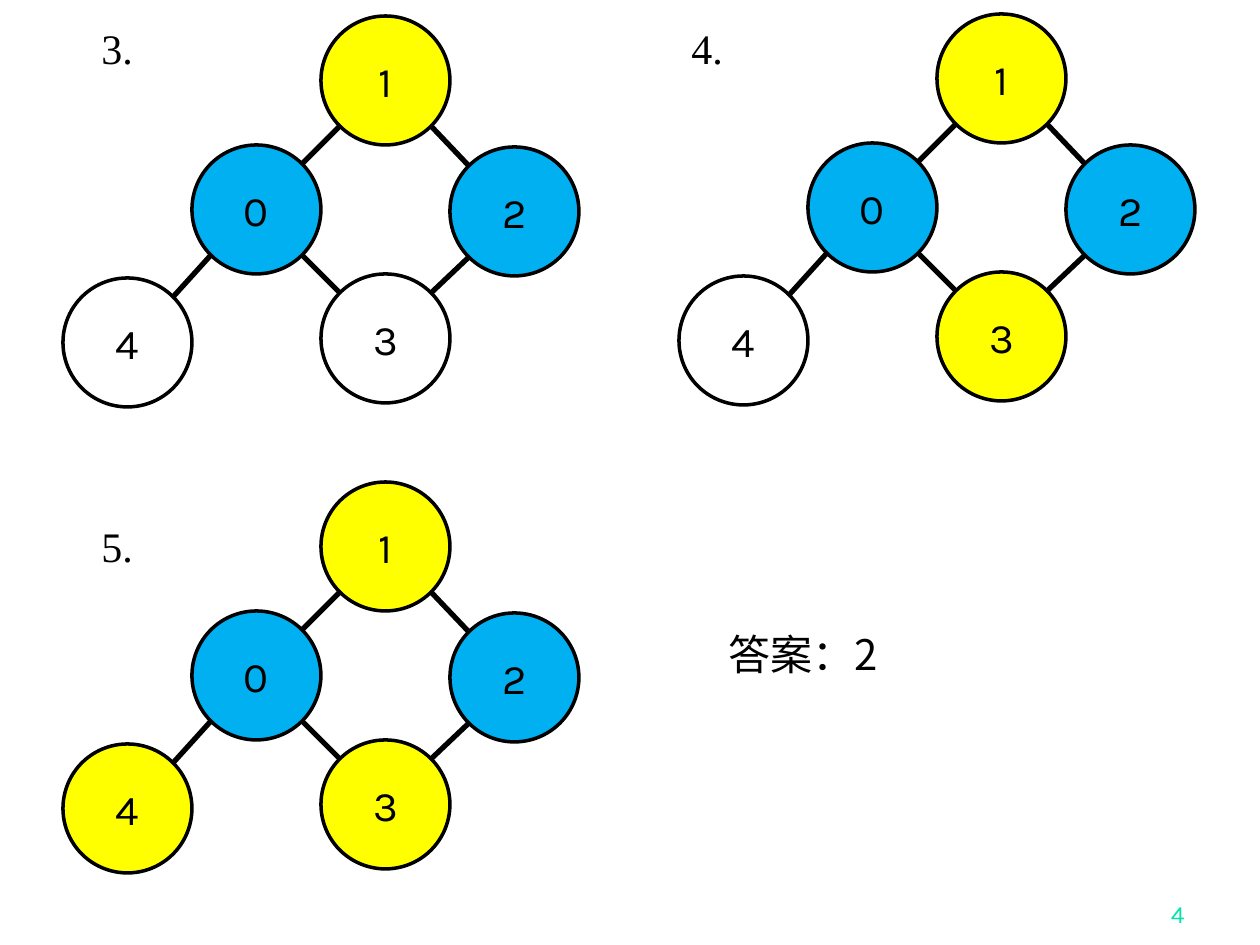
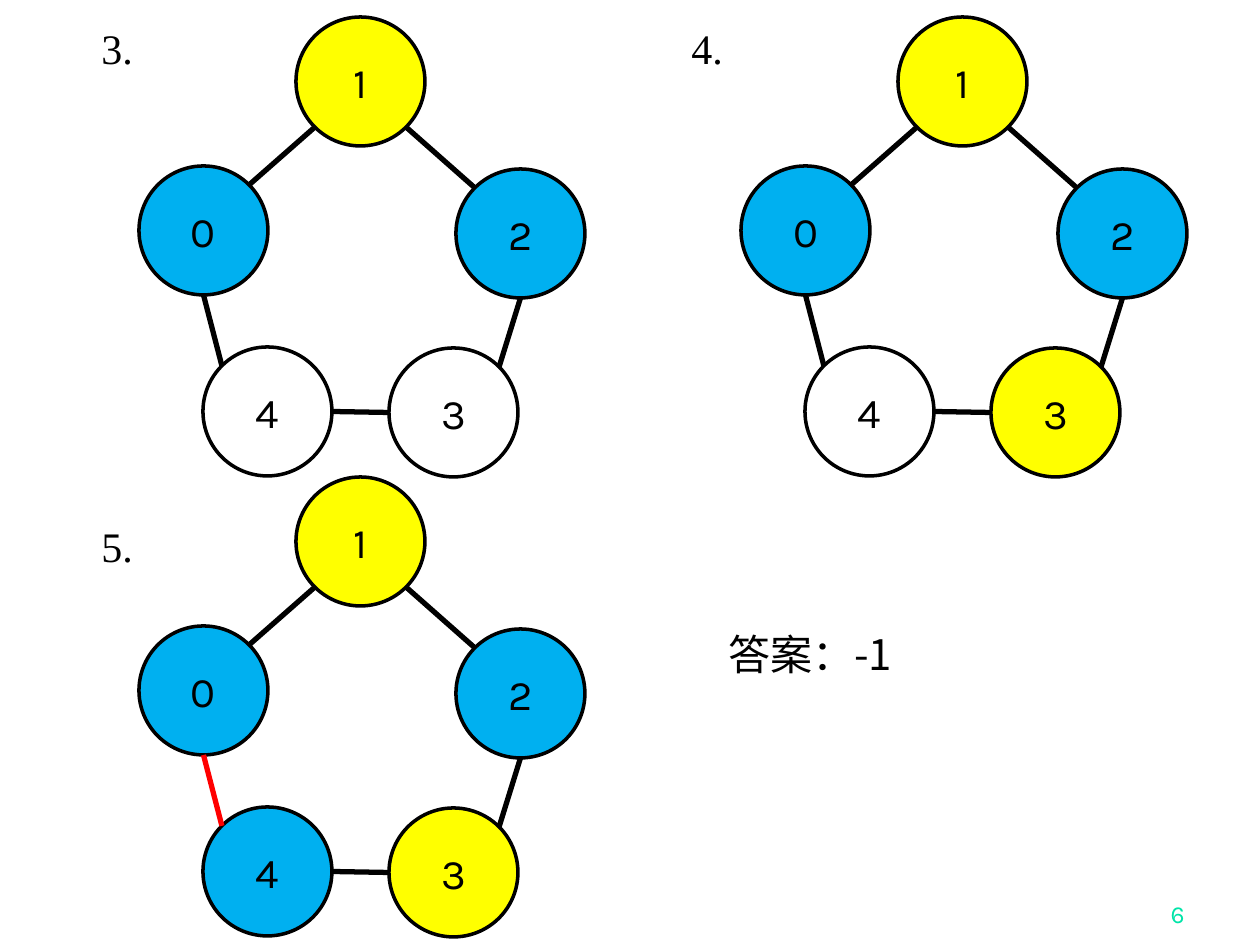
import math
from dataclasses import dataclass

from lxml import etree
from pptx import Presentation
from pptx import util as u
from pptx.dml.color import RGBColor
from pptx.enum import shapes, text
from pptx.oxml.ns import qn

SCALE = 914400 / 126  # EMU in one px


@dataclass(frozen=True)
class Theme:
    ink: str = "000000"
    clash: str = "FF0000"
    page: str = "00E4A8"
    node_font: str = "Karla"
    step_font: str = "Times New Roman"
    answer_font: str = "Noto Sans CJK SC"
    body_size: int = 24
    page_size: int = 14
    outline: int = 2
    edge: int = 3


theme = Theme()
fills = {"Y": "FFFF00", "B": "00B0F0", "W": "FFFFFF"}
NODE = 129  # node diameter


def px(*lengths):
    return [u.Emu(round(length * SCALE)) for length in lengths]


def write(shape, wording, font=theme.node_font, size=theme.body_size, color=theme.ink,
          align=text.PP_ALIGN.LEFT, anchor=text.MSO_ANCHOR.TOP, wrap=True):
    frame = shape.text_frame
    frame.word_wrap = wrap
    frame.vertical_anchor = anchor
    paragraph = frame.paragraphs[0]
    paragraph.alignment = align
    run = paragraph.add_run()
    run.text = wording
    run.font.name = font
    run.font.size = u.Pt(size)
    run.font.color.rgb = RGBColor.from_string(color)
    east_asian = etree.SubElement(run.font._element, qn("a:ea"))
    east_asian.set("typeface", font)


# Node offsets are measured from node 1. An edge is (from node, site, to node, site);
# the eight sites of an ellipse run counter-clockwise from the top.
# A step is its number, the place of node 1 and the colours of nodes 0 to 4.
graphs = [
    {
        "page": "4",
        "answer": "答案：2",
        "offsets": [(-129, 129), (0, 0), (129, 131), (0, 258), (-258, 262)],
        "edges": [(1, 5, 2, 1), (2, 3, 3, 7), (0, 5, 3, 1), (1, 3, 0, 7), (4, 7, 0, 3)],
        "steps": [("3.", 321, 16, "BYBWW"), ("4.", 937, 14, "BYBYW"),
                  ("5.", 321, 482, "BYBYY")],
    },
    {
        "page": "6",
        "answer": "答案：-1",
        "offsets": [(-157, 149), (0, 0), (160, 152), (93, 331), (-93, 330)],
        "edges": [(1, 5, 2, 1), (2, 4, 3, 7), (4, 6, 3, 2), (1, 3, 0, 7), (4, 1, 0, 4)],
        "steps": [("3.", 296, 17, "BYBWW"), ("4.", 898, 17, "BYBYW"),
                  ("5.", 296, 477, "BYBYB")],
    },
]
step_places = {"3.": (89, 16), "4.": (679, 16), "5.": (89, 514)}

presentation = Presentation()
presentation.slide_width, presentation.slide_height = px(1260, 945)

for graph in graphs:
    slide = presentation.slides.add_slide(presentation.slide_layouts[6])

    # Page number
    page_box = slide.shapes.add_textbox(*px(935, 872, 262, 63))
    write(page_box, graph["page"], size=theme.page_size, color=theme.page,
          align=text.PP_ALIGN.RIGHT, anchor=text.MSO_ANCHOR.BOTTOM)

    for step, left, top, colors in graph["steps"]:
        # Coloured nodes
        corners = [(left + dx, top + dy) for dx, dy in graph["offsets"]]
        nodes = []
        for number, (x, y) in enumerate(corners):
            node = slide.shapes.add_shape(shapes.MSO_SHAPE.OVAL, *px(x, y, NODE, NODE))
            node.shadow.inherit = False
            node.fill.solid()
            node.fill.fore_color.rgb = RGBColor.from_string(fills[colors[number]])
            node.line.color.rgb = RGBColor.from_string(theme.ink)
            node.line.width = u.Pt(theme.outline)
            write(node, str(number), align=text.PP_ALIGN.CENTER,
                  anchor=text.MSO_ANCHOR.MIDDLE, wrap=False)
            nodes.append(node)

        # Edges, red where both ends have the same colour
        for start, start_site, end, end_site in graph["edges"]:
            ends = []
            for number, site in ((start, start_site), (end, end_site)):
                x, y = corners[number]
                angle = math.radians(45 * site)
                ends += [x + NODE / 2 * (1 - math.sin(angle)),
                         y + NODE / 2 * (1 - math.cos(angle))]
            edge = slide.shapes.add_connector(shapes.MSO_CONNECTOR.STRAIGHT, *px(*ends))
            same = colors[start] == colors[end] != "W"
            edge.line.color.rgb = RGBColor.from_string(theme.clash if same else theme.ink)
            edge.line.width = u.Pt(theme.edge)
            etree.SubElement(edge._element.spPr, qn("a:effectLst"))
            links = edge._element.find(".//" + qn("p:cNvCxnSpPr"))
            for tag, number, site in (("a:stCxn", start, start_site), ("a:endCxn", end, end_site)):
                link = etree.SubElement(links, qn(tag))
                link.set("id", str(nodes[number].shape_id))
                link.set("idx", str(site))

        # Step number
        step_box = slide.shapes.add_textbox(*px(*step_places[step], 129, 63))
        step_box.text_frame.auto_size = text.MSO_AUTO_SIZE.SHAPE_TO_FIT_TEXT
        write(step_box, step, font=theme.step_font)

    # Answer
    answer_box = slide.shapes.add_textbox(*px(716, 622, 443, 63))
    answer_box.text_frame.auto_size = text.MSO_AUTO_SIZE.SHAPE_TO_FIT_TEXT
    write(answer_box, graph["answer"], font=theme.answer_font)

presentation.save("out.pptx")
